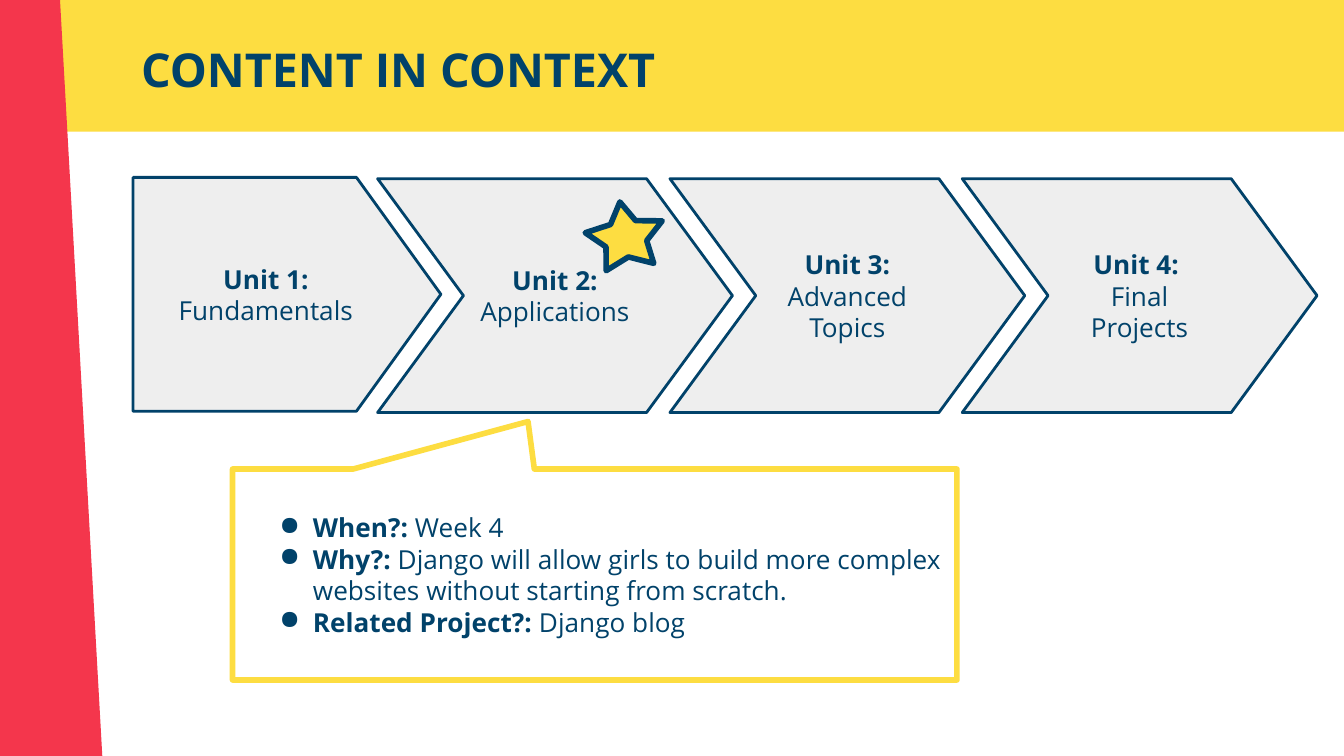
from dataclasses import dataclass

from lxml.etree import SubElement
from pptx import Presentation
from pptx.dml.color import RGBColor
from pptx.enum.shapes import MSO_SHAPE as Preset
from pptx.enum.text import MSO_ANCHOR as Anchor, MSO_AUTO_SIZE as AutoSize, PP_ALIGN as Align
from pptx.oxml.ns import qn
from pptx.util import Inches, Pt


@dataclass(frozen=True)
class Theme:
    navy: RGBColor = RGBColor(0x01, 0x42, 0x6A)
    yellow: RGBColor = RGBColor(0xFD, 0xDD, 0x41)
    red: RGBColor = RGBColor(0xF4, 0x36, 0x4C)
    grey: RGBColor = RGBColor(0xEE, 0xEE, 0xEE)
    font: str = "Open Sans"
    title_size: int = 25
    body_size: int = 14


THEME = Theme()


@dataclass(frozen=True)
class Box:
    left: float
    top: float
    width: float
    height: float

    def lengths(self) -> list:
        return [Inches(v) for v in (self.left, self.top, self.width, self.height)]


@dataclass(frozen=True)
class Unit:
    label: str
    topic: str
    box: Box
    preset: Preset = Preset.CHEVRON
    point: float = 0.367
    topic_below: bool = False


@dataclass(frozen=True)
class Detail:
    question: str
    answer: str


FIRST_CHEVRON, CHEVRON_PITCH = 2.81, 2.175


def chevron_box(position: int) -> Box:
    return Box(FIRST_CHEVRON + position * CHEVRON_PITCH, 1.33, 2.64, 1.74)


UNITS = [
    Unit("Unit 1: ", "Fundamentals", Box(0.99, 1.32, 2.29, 1.74), Preset.PENTAGON, 0.361),
    Unit("Unit 2: ", "Applications", chevron_box(0)),
    Unit("Unit 3: ", "Advanced Topics", chevron_box(1)),
    Unit("Unit 4: ", "Final Projects", chevron_box(2), topic_below=True),
]
DETAILS = [
    Detail("When?: ", "Week 4"),
    Detail("Why?: ", "Django will allow girls to build more complex "
                     "websites without starting from scratch."),
    Detail("Related Project?: ", "Django blog"),
]


def add_preset(slide, preset: Preset, box: Box, fill: RGBColor | None = None,
               line: RGBColor | None = None, weight: float = 1.5,
               adjustments: tuple = (), rotation: float = 0):
    shape = slide.shapes.add_shape(preset, *box.lengths())
    shape.shadow.inherit = False
    shape.rotation = rotation
    for index, value in enumerate(adjustments):
        shape.adjustments[index] = value
    if fill is None:
        shape.fill.background()
    else:
        shape.fill.solid()
        shape.fill.fore_color.rgb = fill
    if line is None:
        shape.line.fill.background()
    else:
        shape.line.color.rgb = line
        shape.line.width = Pt(weight)
    return shape


def format_frame(frame, anchor: Anchor = Anchor.MIDDLE) -> None:
    frame_format = {"word_wrap": True, "auto_size": AutoSize.NONE,
                    "vertical_anchor": anchor}
    margins = dict.fromkeys(
        ("margin_left", "margin_top", "margin_right", "margin_bottom"), Inches(0.1))
    for name, value in (frame_format | margins).items():
        setattr(frame, name, value)


def add_run(paragraph, text: str, bold: bool, size: int = THEME.body_size) -> None:
    run = paragraph.add_run()
    run.text = text
    font_format = {"name": THEME.font, "size": Pt(size), "bold": bold}
    for name, value in font_format.items():
        setattr(run.font, name, value)
    run.font.color.rgb = THEME.navy


def add_bullet(paragraph) -> None:
    properties = paragraph._p.get_or_add_pPr()
    properties.set("marL", str(Inches(0.5)))
    properties.set("indent", str(-Inches(0.25)))
    colour = SubElement(properties, qn("a:buClr"))
    SubElement(colour, qn("a:srgbClr"), val=str(THEME.navy))
    SubElement(properties, qn("a:buChar"), char="●")


def add_title(slide, text: str, box: Box) -> None:
    title = slide.shapes.title
    title.left, title.top, title.width, title.height = box.lengths()
    format_frame(title.text_frame, Anchor.TOP)
    heading = title.text_frame.paragraphs[0]
    heading.alignment = Align.LEFT
    heading.line_spacing = 0.93
    add_run(heading, text, True, THEME.title_size)


def add_backdrop(slide) -> None:
    """Draw the header band and the slanted side bar behind the title."""
    add_preset(slide, Preset.RECTANGLE, Box(-0.84, -0.02, 11, 1), THEME.yellow)
    add_preset(slide, Preset.RECTANGLE, Box(-5.13, 0.7, 10.21, 1.08), THEME.red, rotation=86.8)
    title = slide.shapes.title.element
    title.getparent().append(title)


def add_unit(slide, unit: Unit) -> None:
    arrow = add_preset(slide, unit.preset, unit.box, THEME.grey, THEME.navy,
                       adjustments=(unit.point,))
    frame = arrow.text_frame
    format_frame(frame)
    label = frame.paragraphs[0]
    topic = frame.add_paragraph() if unit.topic_below else label
    for paragraph in (label, topic):
        paragraph.alignment = Align.CENTER
    add_run(label, unit.label, True)
    add_run(topic, unit.topic, False)


def add_callout(slide, details: list[Detail], box: Box) -> None:
    callout = add_preset(slide, Preset.RECTANGULAR_CALLOUT, box, line=THEME.yellow,
                         weight=3, adjustments=(-0.092, -0.725))
    frame = callout.text_frame
    format_frame(frame)
    for index, detail in enumerate(details):
        paragraph = frame.add_paragraph() if index else frame.paragraphs[0]
        paragraph.alignment = Align.LEFT
        add_bullet(paragraph)
        add_run(paragraph, detail.question, True)
        add_run(paragraph, detail.answer, False)


def main() -> None:
    deck = Presentation()
    deck.slide_width = Inches(10)
    deck.slide_height = deck.slide_width * 9 // 16
    slide = deck.slides.add_slide(deck.slide_layouts[5])
    add_backdrop(slide)
    add_title(slide, "CONTENT IN CONTEXT", Box(0.95, 0.24, 8.71, 0.63))
    for unit in UNITS:
        add_unit(slide, unit)
    add_callout(slide, DETAILS, Box(1.73, 3.49, 5.39, 1.57))
    add_preset(slide, Preset.STAR_5_POINT, Box(4.36, 1.5, 0.58, 0.49), THEME.yellow,
               THEME.navy, 3, (0.264,), 351.2)
    deck.save("out.pptx")


if __name__ == "__main__":
    main()
